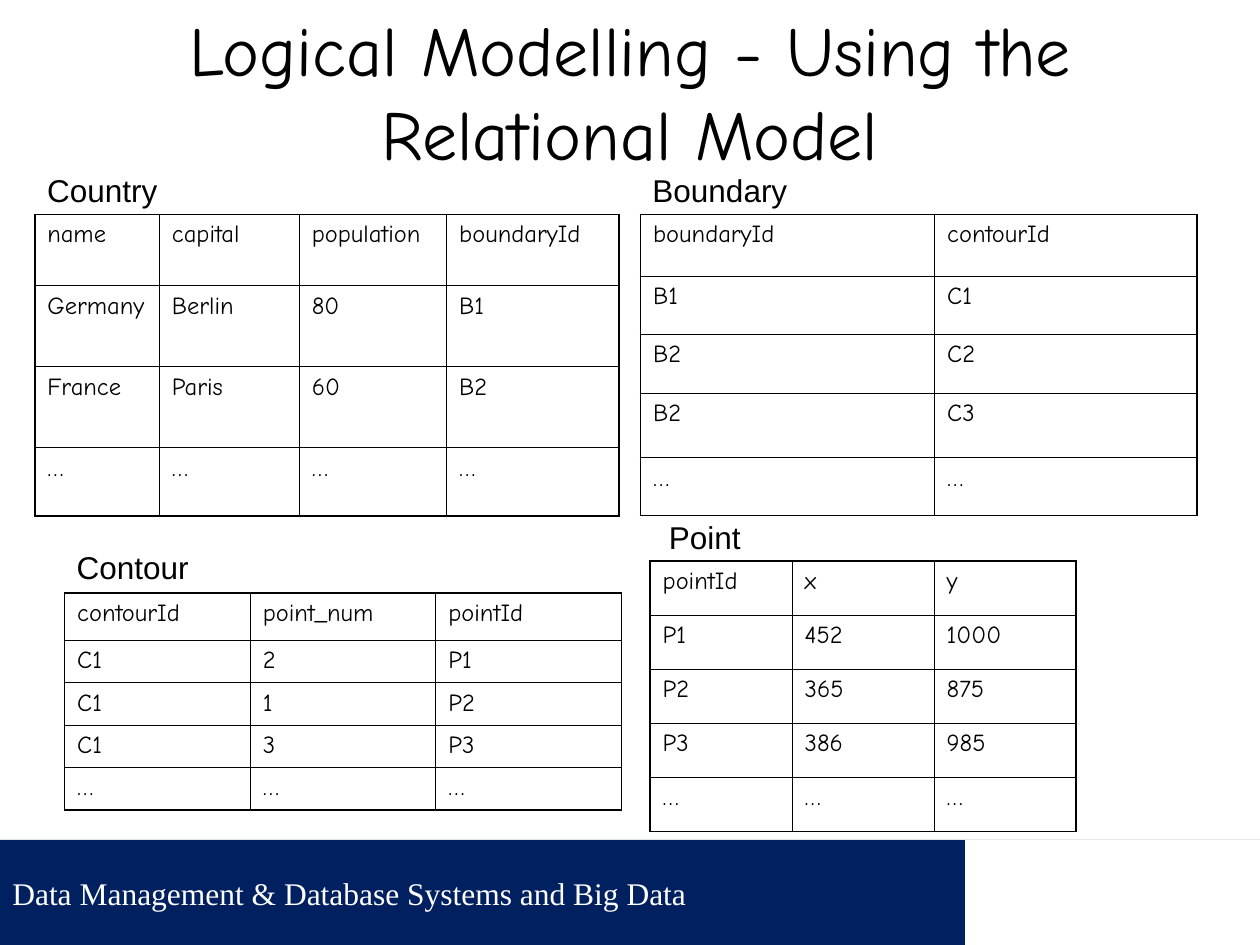
from dataclasses import dataclass

from lxml import etree
from pptx import Presentation
from pptx.dml.color import RGBColor
from pptx.enum.shapes import MSO_SHAPE
from pptx.enum.text import MSO_ANCHOR, MSO_AUTO_SIZE, PP_ALIGN
from pptx.oxml.ns import qn
from pptx.util import Inches, Pt

RECTANGLE = MSO_SHAPE.RECTANGLE
MIDDLE = MSO_ANCHOR.MIDDLE
NO_FIT, GROW = MSO_AUTO_SIZE.NONE, MSO_AUTO_SIZE.SHAPE_TO_FIT_TEXT
LEFT, CENTER = PP_ALIGN.LEFT, PP_ALIGN.CENTER
TITLE_ONLY = 5
COLUMNS, ROWS = 100, 75
WIDTH, HEIGHT = Inches(10), Inches(7.5)


@dataclass(frozen=True)
class Theme:
    """Colours, fonts, type sizes and rule widths of the slide."""
    ink: str = "000000"
    navy: str = "002060"
    paper: str = "FFFFFF"
    hand: str = "Comic Neue"
    sans: str = "Arial"
    serif: str = "Times New Roman"
    title: int = 40
    label: int = 18
    cell: int = 14
    outer: float = 1.08
    inner: float = 0.45


THEME = Theme()

RELATIONS = [
    {
        "name": "Country", "label": (2.75, 13.1, 11.2, 4), "at": (2.75, 17.03),
        "widths": [9.9, 11.1, 11.7, 13.7], "heights": [5.65, 6.43, 6.43, 5.4],
        "rows": ["name capital population boundaryId", "Germany Berlin 80 B1",
                 "France Paris 60 B2", "… … … …"],
    },
    {
        "name": "Boundary", "label": (50.8, 13.1, 12.9, 4), "at": (50.83, 17.03),
        "widths": [23.35, 20.8], "heights": [4.9, 4.6, 4.7, 5.1, 4.6],
        "rows": ["boundaryId contourId", "B1 C1", "B2 C2", "B2 C3", "… …"],
    },
    {
        "name": "Contour", "label": (5.1, 43, 11.1, 4), "at": (5.13, 47.07),
        "widths": [14.73] * 3, "heights": [3.75] + [3.37] * 4,
        "rows": ["contourId point_num pointId", "C1 2 P1", "C1 1 P2", "C1 3 P3", "… … …"],
    },
    {
        "name": "Point", "label": (52.1, 40.6, 7.9, 4), "at": (51.6, 44.5),
        "widths": [11.27] * 3, "heights": [4.3] * 5,
        "rows": ["pointId x y", "P1 452 1000", "P2 365 875", "P3 386 985", "… … …"],
    },
]


def across(columns):
    """Turn grid columns into a horizontal length."""
    return int(WIDTH * columns / COLUMNS)


def down(rows):
    """Turn grid rows into a vertical length."""
    return int(HEIGHT * rows / ROWS)


def place(box):
    """Turn a box in grid units into left, top, width and height."""
    left, top, width, height = box
    return across(left), down(top), across(width), down(height)


def write(frame, text, font, size, color, align=LEFT):
    """Put one formatted paragraph into a text frame."""
    frame.text = text
    para = frame.paragraphs[0]
    para.alignment = align
    para.font.name = font
    para.font.size = Pt(size)
    para.font.bold = False
    para.font.color.rgb = RGBColor.from_string(color)


def add_panel(page, box, color):
    """Draw a plain filled rectangle."""
    panel = page.shapes.add_shape(RECTANGLE, *place(box))
    panel.shadow.inherit = False
    panel.fill.solid()
    panel.fill.fore_color.rgb = RGBColor.from_string(color)
    panel.line.fill.background()
    return panel


def add_footer(page, box, text, share):
    """Draw the course band, with a blank field right of the given share."""
    left, top, width, height = box
    band = add_panel(page, box, THEME.navy)
    band.text_frame.vertical_anchor = MIDDLE
    write(band.text_frame, text, THEME.serif, THEME.label, THEME.paper)
    blank = (left + width * share, top, width * (1 - share), height)
    add_panel(page, blank, THEME.paper)


def add_title(page, box, text):
    """Move the title placeholder to its box and fill it."""
    title = page.shapes.title
    title.left, title.top, title.width, title.height = place(box)
    frame = title.text_frame
    frame.word_wrap = True
    frame.auto_size = NO_FIT
    frame.vertical_anchor = MIDDLE
    write(frame, text, THEME.hand, THEME.title, THEME.ink, CENTER)


def add_label(page, box, text):
    """Write a relation's name above its table."""
    frame = page.shapes.add_textbox(*place(box)).text_frame
    frame.word_wrap = False
    frame.auto_size = GROW
    write(frame, text, THEME.sans, THEME.label, THEME.ink)


def rule_cell(cell, outer_sides):
    """Rule the four sides of a cell, heavier on the table's edge."""
    properties = cell._tc.get_or_add_tcPr()
    for index, (tag, outer) in enumerate(zip(("a:lnL", "a:lnR", "a:lnT", "a:lnB"), outer_sides)):
        weight = Pt(THEME.outer if outer else THEME.inner)
        line = etree.Element(qn(tag), w=str(int(weight)))
        fill = etree.SubElement(line, qn("a:solidFill"))
        etree.SubElement(fill, qn("a:srgbClr"), val=THEME.ink)
        properties.insert(index, line)


def add_relation(page, relation):
    """Place one relation: its label and its ruled table."""
    add_label(page, relation["label"], relation["name"])
    widths, heights = relation["widths"], relation["heights"]
    box = (*relation["at"], sum(widths), sum(heights))
    table = page.shapes.add_table(len(heights), len(widths), *place(box)).table
    table.first_row = table.horz_banding = False
    for column, width in zip(table.columns, widths):
        column.width = across(width)
    for r, (row, height, line) in enumerate(zip(table.rows, heights, relation["rows"])):
        row.height = down(height)
        for c, (cell, value) in enumerate(zip(row.cells, line.split())):
            write(cell.text_frame, value, THEME.hand, THEME.cell, THEME.ink)
            cell.fill.background()
            rule_cell(cell, (c == 0, c == len(widths) - 1, r == 0, r == len(heights) - 1))


def main():
    """Build the slide and save the deck."""
    deck = Presentation()
    deck.slide_width, deck.slide_height = WIDTH, HEIGHT
    page = deck.slides.add_slide(deck.slide_layouts[TITLE_ONLY])
    add_footer(page, (0, 66.65, 100, 8.35),
               "Data Management & Database Systems and Big Data", 0.766)
    add_title(page, (5, 2.1, 90, 10.2), "Logical Modelling - Using the Relational Model")
    for relation in RELATIONS:
        add_relation(page, relation)
    deck.save("out.pptx")


if __name__ == "__main__":
    main()
